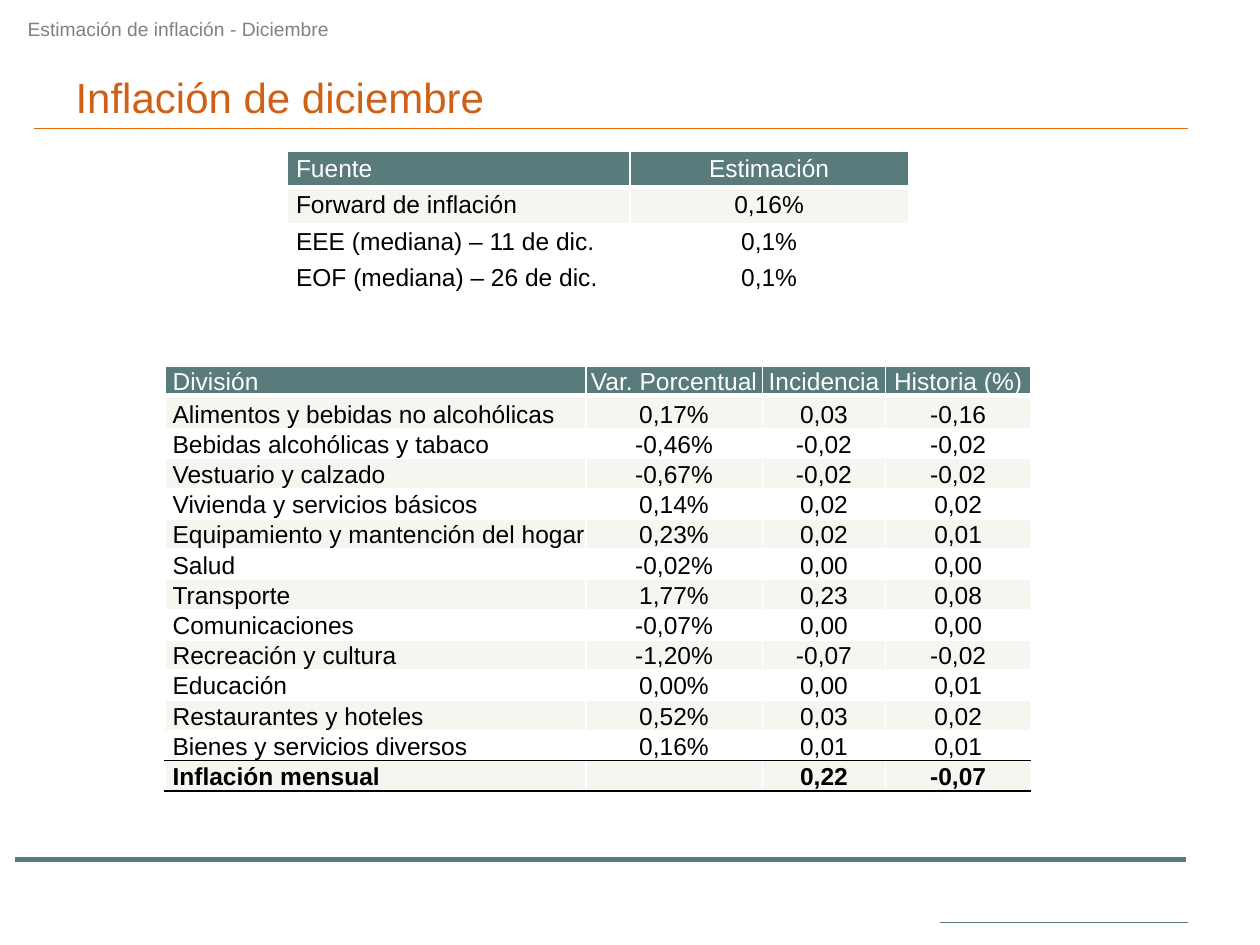
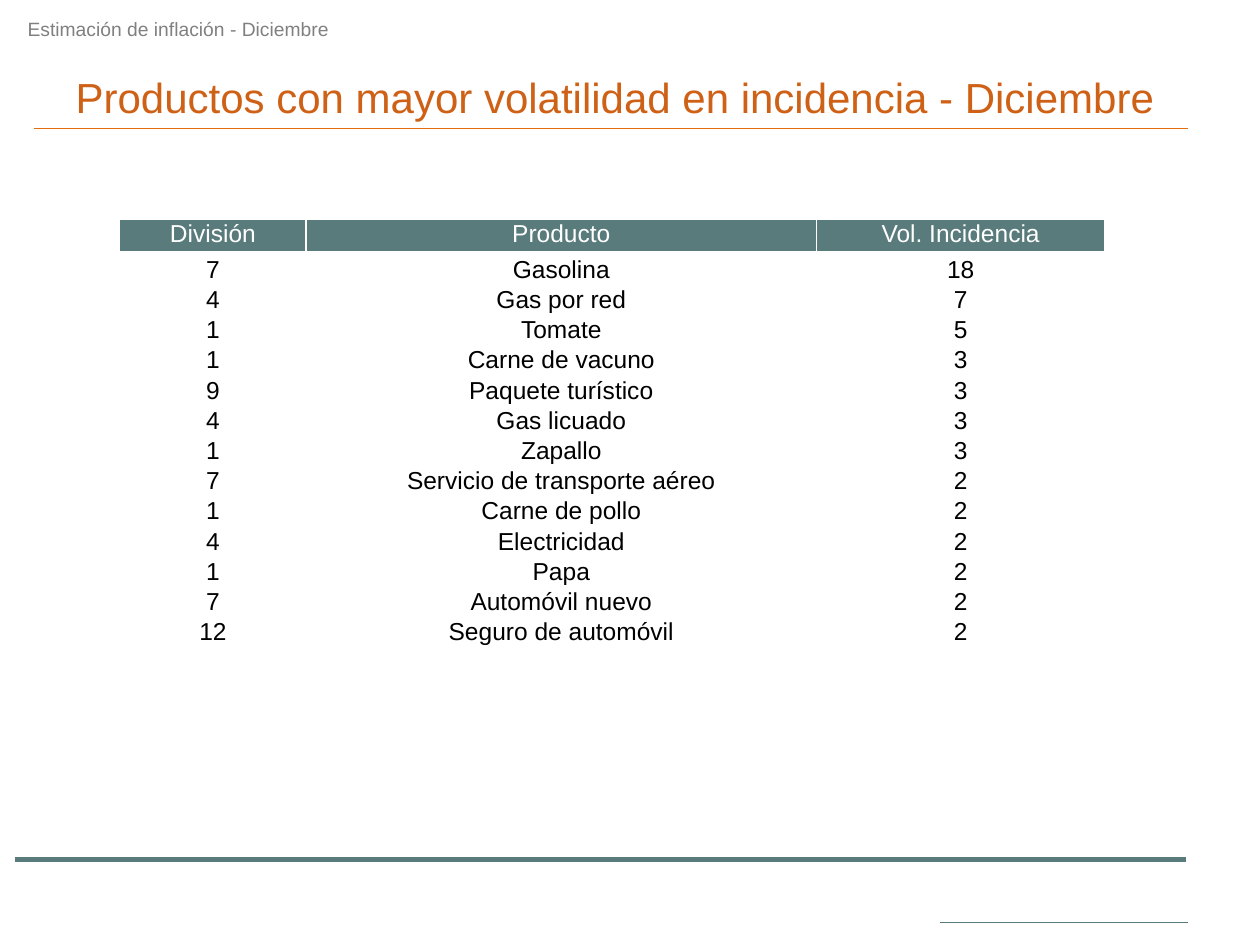
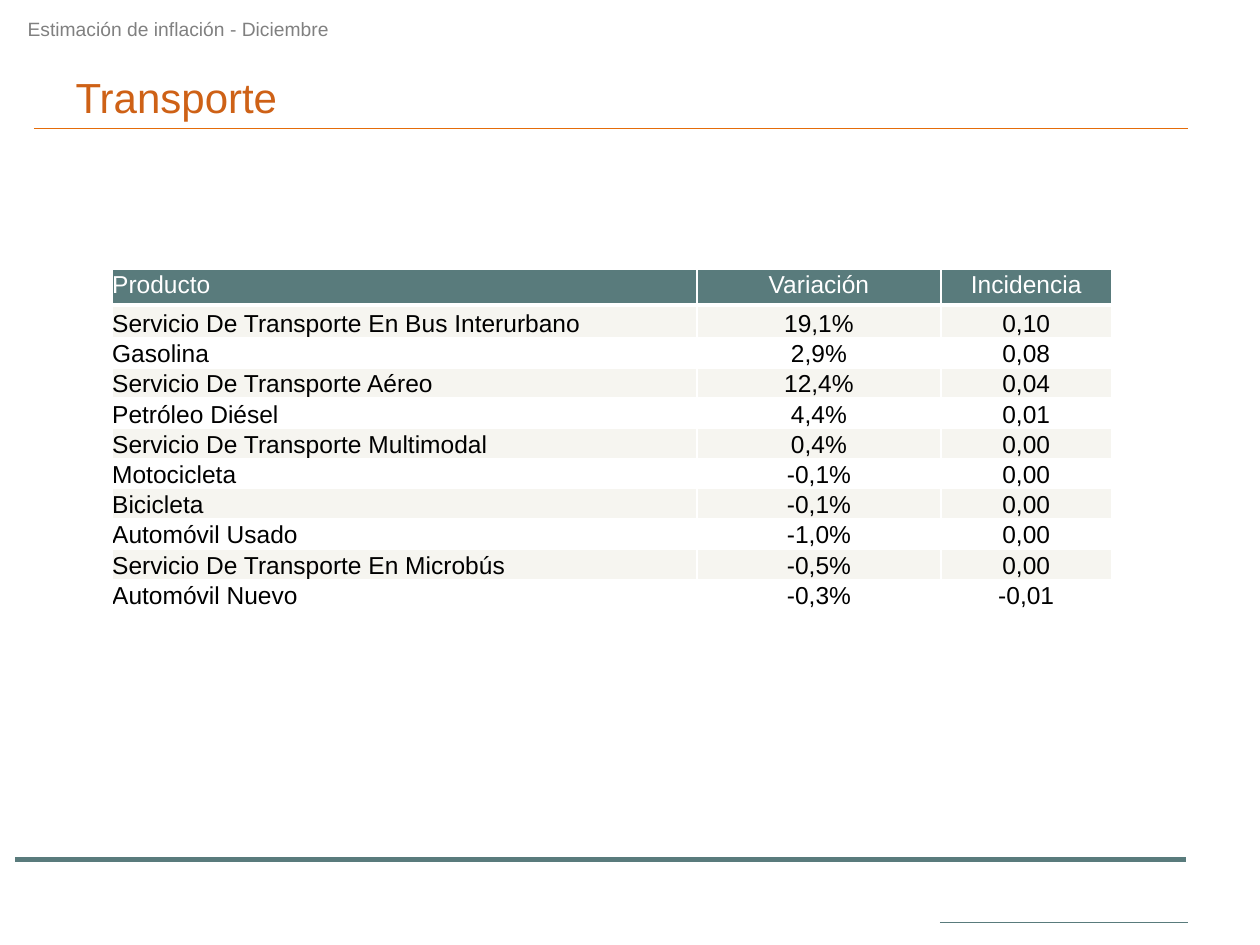
"""Build the three December inflation slides."""
import lxml.etree
import pptx
import pptx.dml.color
import pptx.enum.shapes
import pptx.enum.text
import pptx.oxml.ns
import pptx.util

Inches = pptx.util.Inches
Pt = pptx.util.Pt
Align = pptx.enum.text.PP_ALIGN
Anchor = pptx.enum.text.MSO_ANCHOR
qn = pptx.oxml.ns.qn

COLORS = {
    "teal": "597B7C",
    "title": "CE6116",
    "rule": "E46C0A",
    "header": "808080",
    "band": "F6F5F0",
    "white": "FFFFFF",
    "black": "000000",
}
FONT = "Arial"
HEADER = "Estimación de inflación - Diciembre"
RULES = [
    (0.12, 9.41, 6.82, "teal", 2.75),
    (7.46, 9.43, 7.32, "teal", 0.75),
    (0.27, 9.43, 1.02, "rule", 0.75),
]

sources = {
    "left": 2.28, "top": 1.2, "columns": [2.72, 2.21],
    "heights": [0.29, 0.29, 0.29], "anchor": Anchor.TOP,
    "inset": 0.07, "padding": 0.03, "header_bottom": 0.03,
    "left_columns": 1, "banded_rows": [1], "total": False,
    "rows": [
        ("Fuente", "Estimación"),
        ("Forward de inflación", "0,16%"),
        ("EEE (mediana) – 11 de dic.", "0,1%"),
        ("EOF (mediana) – 26 de dic.", "0,1%"),
    ],
}
divisions = {
    "left": 1.31, "top": 2.91, "columns": [3.34, 1.4, 0.98, 1.15],
    "heights": [0.23, 0.26, 0.24], "anchor": Anchor.BOTTOM,
    "inset": 0.06, "padding": 0, "header_bottom": 0,
    "left_columns": 1, "banded_rows": range(1, 14, 2), "total": True,
    "rows": [
        ("División", "Var. Porcentual", "Incidencia", "Historia (%)"),
        ("Alimentos y bebidas no alcohólicas", "0,17%", "0,03", "-0,16"),
        ("Bebidas alcohólicas y tabaco", "-0,46%", "-0,02", "-0,02"),
        ("Vestuario y calzado", "-0,67%", "-0,02", "-0,02"),
        ("Vivienda y servicios básicos", "0,14%", "0,02", "0,02"),
        ("Equipamiento y mantención del hogar", "0,23%", "0,02", "0,01"),
        ("Salud", "-0,02%", "0,00", "0,00"),
        ("Transporte", "1,77%", "0,23", "0,08"),
        ("Comunicaciones", "-0,07%", "0,00", "0,00"),
        ("Recreación y cultura", "-1,20%", "-0,07", "-0,02"),
        ("Educación", "0,00%", "0,00", "0,01"),
        ("Restaurantes y hoteles", "0,52%", "0,03", "0,02"),
        ("Bienes y servicios diversos", "0,16%", "0,01", "0,01"),
        ("Inflación mensual", "", "0,22", "-0,07"),
    ],
}
volatile_products = {
    "left": 0.95, "top": 1.74, "columns": [1.48, 4.05, 2.29],
    "heights": [0.27, 0.24, 0.24], "anchor": Anchor.BOTTOM,
    "inset": 0.01, "padding": 0, "header_bottom": 0.04,
    "left_columns": 0, "banded_rows": [], "total": False,
    "rows": [
        ("División", "Producto", "Vol. Incidencia"),
        ("7", "Gasolina", "18"),
        ("4", "Gas por red", "7"),
        ("1", "Tomate", "5"),
        ("1", "Carne de vacuno", "3"),
        ("9", "Paquete turístico", "3"),
        ("4", "Gas licuado", "3"),
        ("1", "Zapallo", "3"),
        ("7", "Servicio de transporte aéreo", "2"),
        ("1", "Carne de pollo", "2"),
        ("4", "Electricidad", "2"),
        ("1", "Papa", "2"),
        ("7", "Automóvil nuevo", "2"),
        ("12", "Seguro de automóvil", "2"),
    ],
}
transport = {
    "left": 0.89, "top": 2.14, "columns": [4.64, 1.94, 1.35],
    "heights": [0.28, 0.26, 0.24], "anchor": Anchor.BOTTOM,
    "inset": 0, "padding": 0, "header_bottom": 0.05,
    "left_columns": 1, "banded_rows": range(1, 11, 2), "total": False,
    "rows": [
        ("Producto", "Variación", "Incidencia"),
        ("Servicio De Transporte En Bus Interurbano", "19,1%", "0,10"),
        ("Gasolina", "2,9%", "0,08"),
        ("Servicio De Transporte Aéreo", "12,4%", "0,04"),
        ("Petróleo Diésel", "4,4%", "0,01"),
        ("Servicio De Transporte Multimodal", "0,4%", "0,00"),
        ("Motocicleta", "-0,1%", "0,00"),
        ("Bicicleta", "-0,1%", "0,00"),
        ("Automóvil Usado", "-1,0%", "0,00"),
        ("Servicio De Transporte En Microbús", "-0,5%", "0,00"),
        ("Automóvil Nuevo", "-0,3%", "-0,01"),
    ],
}
PAGES = [
    ("Inflación de diciembre", [sources, divisions]),
    ("Productos con mayor volatilidad en incidencia - Diciembre", [volatile_products]),
    ("Transporte", [transport]),
]


def rgb(name):
    return pptx.dml.color.RGBColor.from_string(COLORS[name])


def write(para, text, size, color, align=Align.LEFT, bold=False):
    para.alignment = align
    if not text:
        lxml.etree.SubElement(para._p, qn("a:endParaRPr"), sz=str(size * 100))
        return
    span = para.add_run()
    span.text = text
    formats = {"name": FONT, "size": Pt(size), "bold": bold}
    for key, value in formats.items():
        setattr(span.font, key, value)
    span.font.color.rgb = rgb(color)


deck = pptx.Presentation()
deck.slide_width, deck.slide_height = Inches(10), Inches(7.5)

for title, tables in PAGES:
    page = deck.slides.add_slide(deck.slide_layouts[5])

    for start, end, y, color, width in RULES:
        rule = page.shapes.add_connector(
            pptx.enum.shapes.MSO_CONNECTOR.STRAIGHT,
            Inches(start), Inches(y), Inches(end), Inches(y))
        rule.line.color.rgb = rgb(color)
        rule.line.width = Pt(width)
        lxml.etree.SubElement(rule._element.spPr, qn("a:effectLst"))

    header = page.shapes.add_textbox(0, 0, 0, 0)
    for box, text, place, size, color, inset in [
        (page.shapes.title, title, (0.5, 0.48, 9.1, 0.71), 24, "title", 0.09),
        (header, HEADER, (0.12, 0.09, 3.58, 0.51), 11, "header", 0.05),
    ]:
        box.left, box.top, box.width, box.height = map(Inches, place)
        formats = {
            "word_wrap": True,
            "auto_size": pptx.enum.text.MSO_AUTO_SIZE.NONE,
            "vertical_anchor": Anchor.TOP,
            "margin_top": Inches(inset),
        }
        for key, value in formats.items():
            setattr(box.text_frame, key, value)
        write(box.text_frame.paragraphs[0], text, size, color)

    for data in tables:
        rows, columns = data["rows"], data["columns"]
        last = len(rows) - 1
        first_height, second_height, other_height = data["heights"]
        heights = [first_height, second_height] + [other_height] * (last - 1)
        grid = page.shapes.add_table(
            len(rows), len(columns), Inches(data["left"]), Inches(data["top"]),
            Inches(sum(columns)), Inches(sum(heights))).table
        grid.first_row = grid.horz_banding = False
        for column, width in zip(grid.columns, columns):
            column.width = Inches(width)

        for index, values in enumerate(rows):
            grid.rows[index].height = Inches(heights[index])
            is_header = index == 0
            is_total = data["total"] and index == last
            above_total = data["total"] and index == last - 1
            borders = {
                "L": ("white", 1),
                "R": ("white", 1),
                "T": ("black" if is_total else "white", 3 if index == 1 else 1),
                "B": ("black" if is_total or above_total else "white", 3 if is_header else 1),
            }
            fill = "teal" if is_header else "band" if index in data["banded_rows"] else None
            for position, text in enumerate(values):
                cell = grid.cell(index, position)
                is_left = position < data["left_columns"]
                side = Inches(data["inset"] if is_left else 0)
                bottom = data["header_bottom"] if is_header else data["padding"]
                formats = {
                    "vertical_anchor": data["anchor"],
                    "margin_left": side,
                    "margin_right": 0,
                    "margin_top": Inches(data["padding"]),
                    "margin_bottom": Inches(bottom),
                }
                for key, value in formats.items():
                    setattr(cell, key, value)
                properties = cell._tc.get_or_add_tcPr()
                for edge, (color, width) in borders.items():
                    line = lxml.etree.SubElement(properties, qn("a:ln" + edge), w=str(Pt(width)))
                    solid = lxml.etree.SubElement(line, qn("a:solidFill"))
                    lxml.etree.SubElement(solid, qn("a:srgbClr"), val=COLORS[color])
                if fill:
                    cell.fill.solid()
                    cell.fill.fore_color.rgb = rgb(fill)
                else:
                    cell.fill.background()
                write(cell.text_frame.paragraphs[0], text, 14,
                      "white" if is_header else "black",
                      Align.LEFT if is_left else Align.CENTER, is_total)

deck.save("out.pptx")
